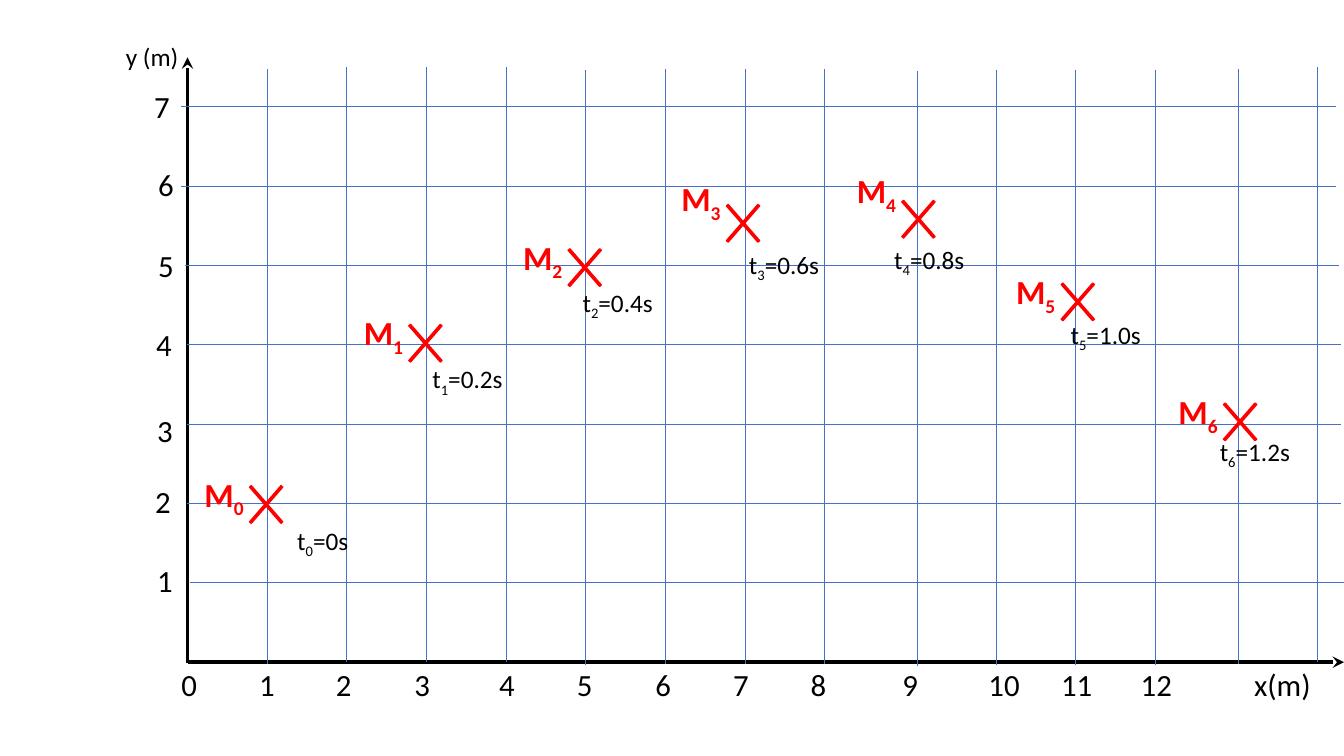
from lxml import etree
from pptx import Presentation
from pptx.dml.color import RGBColor
from pptx.enum.shapes import MSO_CONNECTOR, MSO_SHAPE
from pptx.enum.text import MSO_AUTO_SIZE
from pptx.oxml.ns import qn
from pptx.util import Inches, Pt

STRAIGHT = MSO_CONNECTOR.STRAIGHT
CROSS = MSO_SHAPE.MATH_MULTIPLY
FIT = MSO_AUTO_SIZE.SHAPE_TO_FIT_TEXT

COLORS = {"axis": "000000", "grid": "4472C4", "mark": "FF0000", "text": "000000"}
FORMATS = {
    "mark": {"size": Pt(24), "bold": True},
    "time": {"size": Pt(18), "bold": False},
    "number": {"size": Pt(22), "bold": False},
}
INSET = 0.1

COLUMNS = [2.65 + 0.79 * i for i in range(8)] + [9.1, 9.88, 10.67, 11.46, 12.28, 13.07]
COLUMN_TOPS = [0.68, 0.66, 0.66, 0.66, 0.69, 0.68, 0.68, 0.68,
               0.7, 0.69, 0.69, 0.69, 0.68, 0.66]
ROW_LEFTS = [1.88, 1.85, 1.85, 1.85, 1.83, 1.8, 1.8]
X_CENTRES = [2.65, 3.41, 4.19, 5.03, 5.8, 6.58, 7.35, 8.12, 9.03, 9.96, 10.68, 11.47, 12.72]
Y_LABELS = [(1.46, 5.52), (1.44, 4.74), (1.46, 4.04), (1.45, 3.18),
            (1.47, 2.4), (1.47, 1.6), (1.43, 0.82)]
# (cross left, cross top, label rise, time left, time top, time width, time)
POINTS = [
    (2.34, 4.66, 0.01, 2.85, 5.16, 0.74, "0s"),
    (3.92, 3.06, 0.01, 4.19, 3.56, 1.13, "0.2s"),
    (5.5, 2.31, 0.01, 5.68, 2.8, 1.13, "0.4s"),
    (7.07, 1.87, 0.15, 7.33, 2.42, 1.13, "0.6s"),
    (8.81, 1.83, 0.19, 8.77, 2.37, 1.13, "0.8s"),
    (10.39, 2.65, 0.01, 10.52, 3.12, 1.13, "1.0s"),
    (12, 3.84, 0.01, 12, 4.28, 1.13, "1.2s"),
]


class Plot:
    """Draws the elements of a position-time plot on one slide."""

    def __init__(self, slide, font="Calibri"):
        self.shapes = slide.shapes
        self.font = font

    def color(self, name):
        return RGBColor.from_string(COLORS[name])

    def line(self, x1, y1, x2, y2, color, width, arrow=False):
        sp = self.shapes.add_connector(STRAIGHT, *map(Inches, (x1, y1, x2, y2)))
        sp.line.color.rgb = self.color(color)
        sp.line.width = Pt(width)
        spPr = sp._element.spPr
        if arrow:
            etree.SubElement(spPr.find(qn("a:ln")), qn("a:tailEnd"), type="stealth")
        etree.SubElement(spPr, qn("a:effectLst"))

    def text(self, box, runs, style, color="text", parent=None, tabs=()):
        sp = (parent or self.shapes).add_textbox(*map(Inches, box))
        tf = sp.text_frame
        tf.word_wrap = True
        tf.auto_size = FIT
        p = tf.paragraphs[0]
        if tabs:
            tab_list = etree.SubElement(p._p.get_or_add_pPr(), qn("a:tabLst"))
            for tab in tabs:
                etree.SubElement(tab_list, qn("a:tab"), pos=str(Inches(tab)), algn="ctr")
        for i, text in enumerate(runs):
            r = p.add_run()
            r.text = text
            r.font.name = self.font
            r.font.color.rgb = self.color(color)
            for key, value in FORMATS[style].items():
                setattr(r.font, key, value)
            if i == 1:
                r._r.get_or_add_rPr().set("baseline", "-25000")

    def mark(self, left, top, rise, index):
        group = self.shapes.add_group_shape().shapes
        sp = group.add_shape(CROSS, *map(Inches, (left, top, 0.6, 0.69)))
        sp.adjustments[0] = 0.037
        sp.shadow.inherit = False
        sp.fill.solid()
        sp.fill.fore_color.rgb = sp.line.color.rgb = self.color("mark")
        sp.line.width = Pt(1)
        self.text((left - 0.41, top - rise, 1.06, 0.5), ["M", index], "mark", "mark", group)


def main():
    prs = Presentation()
    prs.slide_width, prs.slide_height = Inches(13.33), Inches(7.5)
    plot = Plot(prs.slides.add_slide(prs.slide_layouts[6]))

    plot.line(1.86, 6.57, 13.33, 6.57, "axis", 2.75, arrow=True)
    plot.line(1.86, 6.58, 1.86, 0.57, "axis", 2.75, arrow=True)
    for x, top in zip(COLUMNS, COLUMN_TOPS):
        plot.line(x, top + 5.91, x, top, "grid", 0.5)
    for i, left in enumerate(ROW_LEFTS):
        y = 5.78 - 4.72 * i / 6
        plot.line(left, y, left + 11.45, y, "grid", 0.5)

    for i, (left, top, rise, *_) in enumerate(POINTS):
        plot.mark(left, top, rise, str(i))
    for i, (*_, left, top, width, time) in enumerate(POINTS):
        plot.text((left, top, width, 0.4), ["t", str(i), "=" + time], "time")

    plot.text((1.15, 0.36, 1.06, 0.4), ["y (m)"], "time")
    x_left = 1.7
    x_labels = "\t".join([*map(str, range(13)), "x(m)"])
    plot.text((x_left, 6.56, 11.6, 0.47), [x_labels], "number",
              tabs=[x - x_left - INSET for x in X_CENTRES])
    for i, (left, top) in enumerate(Y_LABELS, 1):
        plot.text((left, top, 0.88, 0.47), [str(i)], "number")

    prs.save("out.pptx")


if __name__ == "__main__":
    main()
